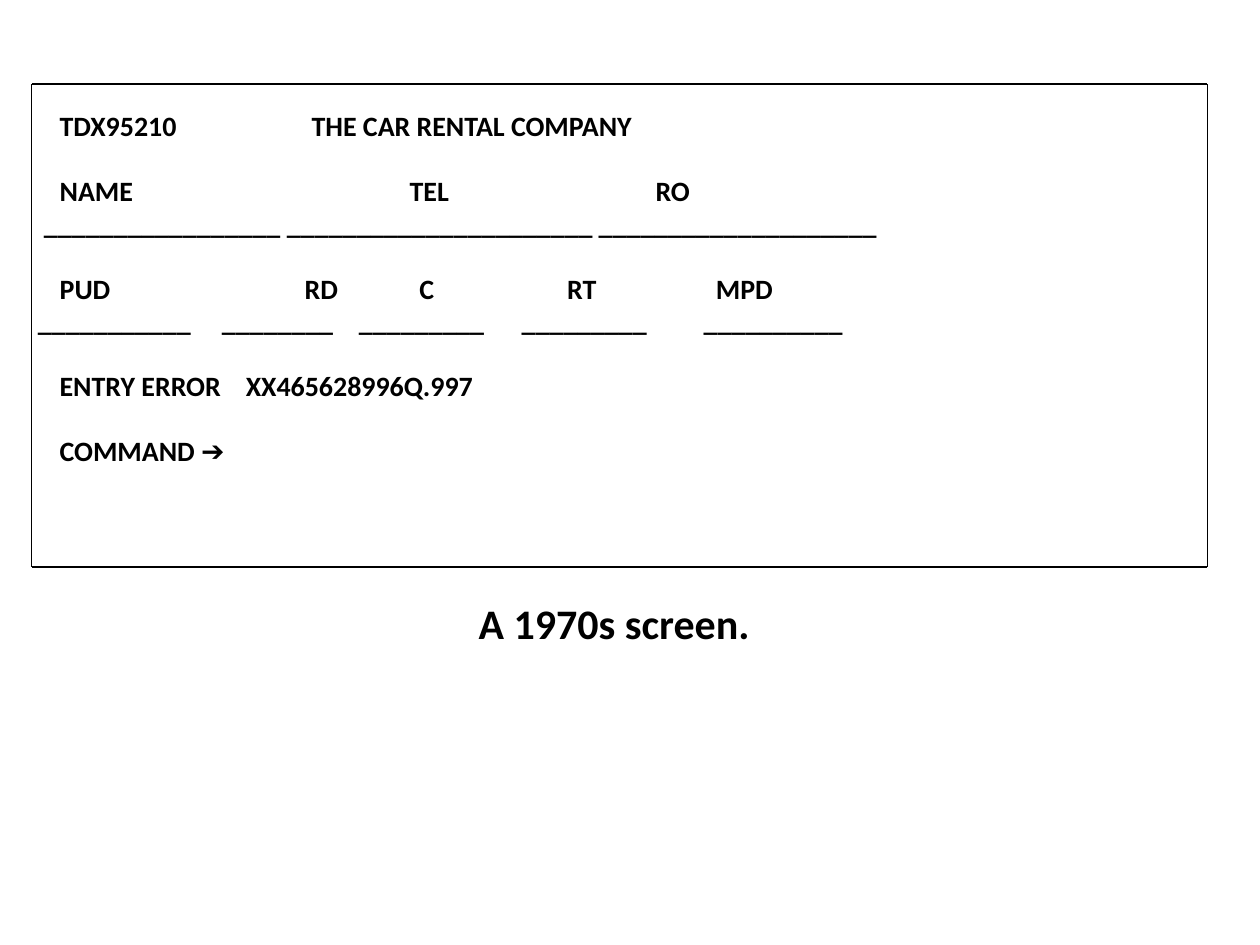
from dataclasses import dataclass
from itertools import pairwise

from pptx import Presentation
from pptx.dml.color import RGBColor
from pptx.enum import shapes, text
from pptx.oxml.ns import qn
from pptx.util import Pt
from lxml import etree


@dataclass(frozen=True)
class Theme:
    font: str = "Calibri"
    ink: RGBColor = RGBColor(0, 0, 0)
    screen_size: int = 16
    caption_size: int = 24
    frame_width: float = 0.75
    line_spacing: float = 0.8


THEME = Theme()
MARGIN = 27     # first tab stop of the label rows
NEAR_GAP = 3.1  # space before a row that follows directly
ROW_GAP = 21.7  # space before a row that starts a new group

# Each row: space before, then (tab stop, words) for every field
SCREEN_ROWS = [
    (NEAR_GAP, [(MARGIN, "TDX95210"), (171, "THE CAR RENTAL COMPANY")]),
    (ROW_GAP, [(MARGIN, "NAME"), (227, "TEL"), (367.5, "RO")]),
    (NEAR_GAP, [(18, "_" * 17), (156.8, "_" * 22), (335, "_" * 20)]),
    (ROW_GAP, [(MARGIN, "PUD"), (167, "RD"), (232.5, "C"), (317, "RT"), (402, "MPD")]),
    (NEAR_GAP, [(14.5, "_" * 11), (119.7, "_" * 8), (198, "_" * 9),
                (291, "_" * 9), (395, "_" * 10)]),
    (ROW_GAP, [(MARGIN, "ENTRY ERROR"), (133.4, "XX465628996Q.997")]),
    (ROW_GAP, [(MARGIN, "COMMAND ➔")]),
]


def set_font(paragraph, size):
    font = paragraph.font
    font.name, font.size, font.bold = THEME.font, Pt(size), True
    font.color.rgb = THEME.ink


def set_tab_stops(paragraph, stops):
    tab_list = etree.SubElement(paragraph._p.get_or_add_pPr(), qn("a:tabLst"))
    for stop in stops:
        etree.SubElement(tab_list, qn("a:tab"), pos=str(int(Pt(stop))), algn="l")


def add_screen_row(paragraph, space_before, fields):
    paragraph.text = "".join("\t" + words for _, words in fields)
    set_tab_stops(paragraph, [stop for stop, _ in fields])
    paragraph.line_spacing = THEME.line_spacing
    paragraph.space_before = Pt(space_before)
    set_font(paragraph, THEME.screen_size)


def add_screen_text(slide, left, top, width, height):
    box = slide.shapes.add_textbox(*map(Pt, (left, top, width, height)))
    frame = box.text_frame
    frame.word_wrap = True
    frame.margin_top = 0
    for index, (space_before, fields) in enumerate(SCREEN_ROWS):
        paragraph = frame.add_paragraph() if index else frame.paragraphs[0]
        add_screen_row(paragraph, space_before, fields)


def set_caption(slide, words, left, top, width, height):
    title = slide.shapes.title
    title.left, title.top, title.width, title.height = map(
        Pt, (left, top, width, height))
    frame = title.text_frame
    frame.auto_size = text.MSO_AUTO_SIZE.NONE
    frame.vertical_anchor = text.MSO_ANCHOR.MIDDLE
    paragraph = frame.paragraphs[0]
    paragraph.text = words
    paragraph.alignment = text.PP_ALIGN.CENTER
    set_font(paragraph, THEME.caption_size)


def add_line(slide, start, end):
    line = slide.shapes.add_connector(
        shapes.MSO_CONNECTOR.STRAIGHT, *map(Pt, start + end))
    line.line.color.rgb = THEME.ink
    line.line.width = Pt(THEME.frame_width)
    etree.SubElement(line._element.spPr, qn("a:effectLst"))


def add_frame(slide, left, top, right, bottom):
    corners = [(left, top), (left, bottom), (right, bottom), (right, top), (left, top)]
    for start, end in pairwise(corners):
        add_line(slide, start, end)


def main():
    presentation = Presentation()
    presentation.slide_width, presentation.slide_height = Pt(720), Pt(540)
    slide = presentation.slides.add_slide(presentation.slide_layouts[5])

    # Screen: fields and border
    add_screen_text(slide, 0, 66, 702, 250)
    add_frame(slide, 18, 48, 690, 324)

    # Caption below the screen
    set_caption(slide, "A 1970s screen.", 0, 336, 702, 40)
    presentation.save("out.pptx")


if __name__ == "__main__":
    main()
